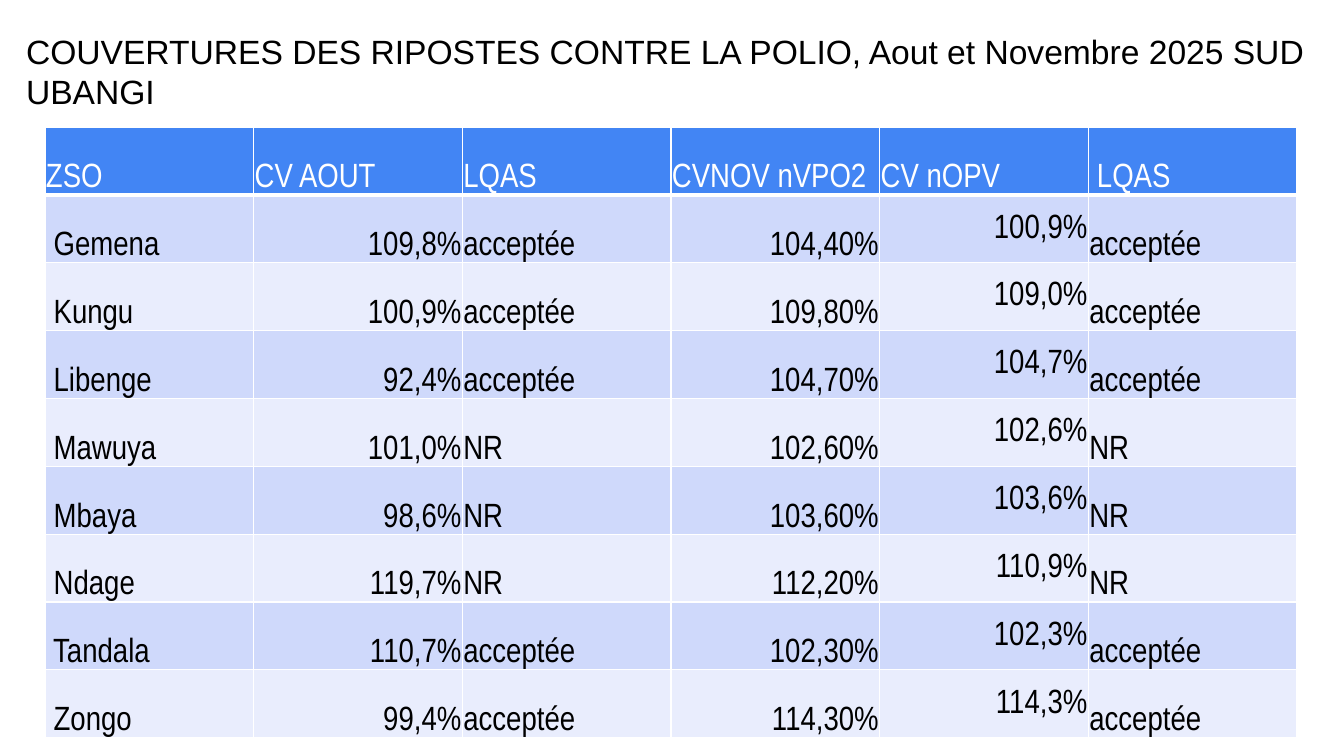
from lxml import etree
from pptx import Presentation
from pptx import util as u
from pptx.dml import color
from pptx.enum import text
from pptx.oxml import ns

PX = 914400 / 100.8
HEADERS = ["ZSO", "CV AOUT", "LQAS", "CVNOV nVPO2", "CV nOPV", " LQAS"]
ZONES = [
    ("Gemena", "109,8%", "acceptée", "104,40%", "100,9%"),
    ("Kungu", "100,9%", "acceptée", "109,80%", "109,0%"),
    ("Libenge", "92,4%", "acceptée", "104,70%", "104,7%"),
    ("Mawuya", "101,0%", "NR", "102,60%", "102,6%"),
    ("Mbaya", "98,6%", "NR", "103,60%", "103,6%"),
    ("Ndage", "119,7%", "NR", "112,20%", "110,9%"),
    ("Tandala", "110,7%", "acceptée", "102,30%", "102,3%"),
    ("Zongo", "99,4%", "acceptée", "114,30%", "114,3%"),
]
CV_NOPV = 4


def px(length):
    return u.Emu(round(length * PX))


def rgb(value):
    return color.RGBColor.from_string(value)


class CoverageSlide:
    title_font = "Arial"
    table_font = "Arial Narrow"
    size = 24
    ink = "000000"
    white = "FFFFFF"
    header_fill = "4285F4"
    bands = ("CFD9FB", "E9EDFD")

    def __init__(self, deck):
        self.page = deck.slides.add_slide(deck.slide_layouts[5])

    def add_words(self, para, words, font, ink, align=text.PP_ALIGN.LEFT):
        para.alignment = align
        span = para.add_run()
        span.text = words
        span.font.name = font
        span.font.size = u.Pt(self.size)
        span.font.bold = False
        span.font.color.rgb = rgb(ink)

    def title(self, words, left, top, width, height):
        box = self.page.shapes.title
        box.left, box.top, box.width, box.height = map(px, (left, top, width, height))
        frame = box.text_frame
        frame.word_wrap = True
        frame.auto_size = text.MSO_AUTO_SIZE.NONE
        frame.vertical_anchor = text.MSO_ANCHOR.TOP
        frame.margin_left = frame.margin_right = px(13)
        frame.margin_top = frame.margin_bottom = px(13)
        self.add_words(frame.paragraphs[0], words, self.title_font, self.ink)

    def borders(self, cell, top, bottom):
        properties = cell._tc.get_or_add_tcPr()
        for side, points in (("L", 1), ("R", 1), ("T", top), ("B", bottom)):
            line = etree.SubElement(properties, ns.qn(f"a:ln{side}"), w=str(u.Pt(points)))
            fill = etree.SubElement(line, ns.qn("a:solidFill"))
            etree.SubElement(fill, ns.qn("a:srgbClr"), val=self.white)

    def cell(self, cell, words, row, column):
        header = row == 0
        number = not header and words.endswith("%")
        centred = not header and column == CV_NOPV
        self.borders(cell, 3 if row == 1 else 1, 3 if header else 1)
        cell.fill.solid()
        cell.fill.fore_color.rgb = rgb(self.header_fill if header else self.bands[(row - 1) % 2])
        cell.margin_left = cell.margin_right = cell.margin_top = px(1)
        cell.margin_bottom = 0
        cell.vertical_anchor = text.MSO_ANCHOR.MIDDLE if centred else text.MSO_ANCHOR.BOTTOM
        align = text.PP_ALIGN.RIGHT if number else text.PP_ALIGN.LEFT
        ink = self.white if header else self.ink
        self.add_words(cell.text_frame.paragraphs[0], words, self.table_font, ink, align)

    def table(self, rows, left, top, width, height):
        bounds = map(px, (left, top, width, height))
        grid = self.page.shapes.add_table(len(rows), len(rows[0]), *bounds).table
        grid.horz_banding = False
        for row, values in enumerate(rows):
            for column, words in enumerate(values):
                self.cell(grid.cell(row, column), words, row, column)


def main():
    deck = Presentation()
    deck.slide_width, deck.slide_height = px(1344), px(756)
    slide = CoverageSlide(deck)
    slide.title(
        "COUVERTURES DES RIPOSTES CONTRE LA POLIO, Aout et Novembre 2025 SUD UBANGI",
        13, 18, 1322, 84,
    )
    rows = [HEADERS] + [
        (f" {zone}", august, lqas, november, nopv, lqas)
        for zone, august, lqas, november, nopv in ZONES
    ]
    slide.table(rows, 45, 127, 1252, 611)
    deck.save("out.pptx")


if __name__ == "__main__":
    main()
